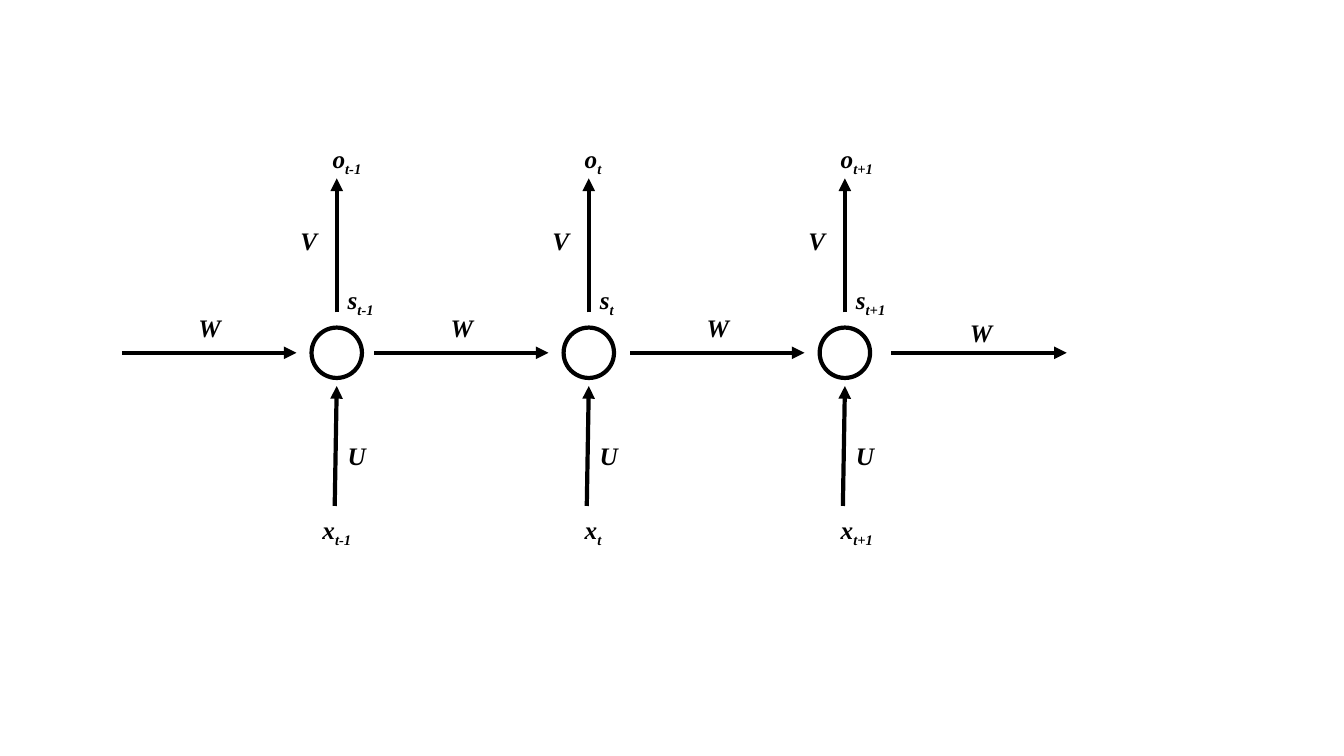
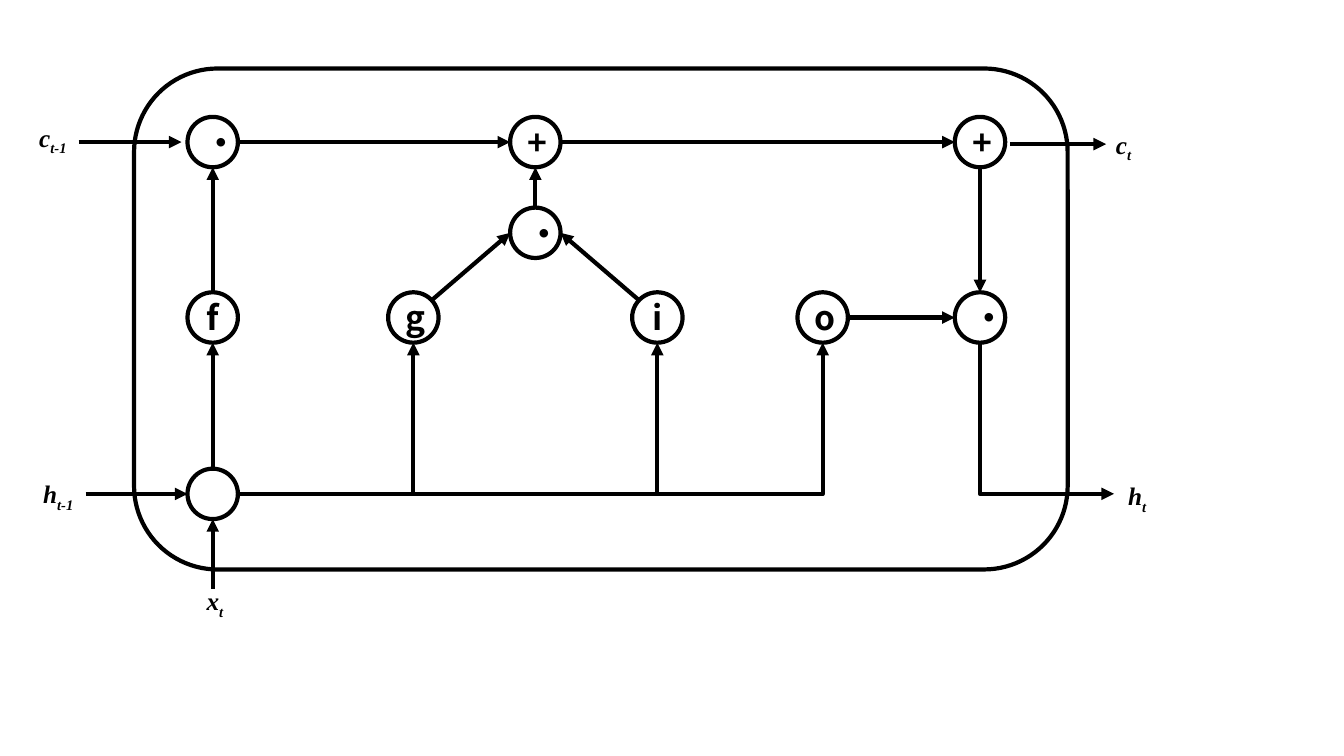
from pptx import Presentation
from pptx.dml.color import RGBColor
from pptx.enum.shapes import MSO_CONNECTOR as Route, MSO_SHAPE as Preset
from pptx.enum.text import MSO_ANCHOR as Anchor, MSO_AUTO_SIZE as AutoSize, PP_ALIGN as Align
from pptx.oxml.ns import qn
from pptx.util import Inches, Pt
from lxml.etree import SubElement

INK = RGBColor(0, 0, 0)
PAPER = RGBColor(255, 255, 255)
MATH_FONT = "Times New Roman"
GATE_FONT = "Noto Sans CJK SC"
STROKE = Pt(3)
RADIUS = 0.25


def add_arrow(slide, start, end, route=Route.STRAIGHT, tip="tailEnd"):
    """Draw a black arrow, with its tip at the end or at the start."""
    arrow = slide.shapes.add_connector(route, *map(Inches, (*start, *end)))
    arrow.line.color.rgb = INK
    arrow.line.width = STROKE
    SubElement(arrow.line._get_or_add_ln(), qn("a:" + tip), type="triangle")
    SubElement(arrow._element.spPr, qn("a:effectLst"))
    return arrow


def add_corner_arrow(slide, start, end, tip="tailEnd"):
    """Draw an arrow that leaves its start sideways and turns once."""
    arrow = add_arrow(slide, start, end, Route.ELBOW, tip)
    arrow._element.spPr.find(qn("a:prstGeom")).set("prst", "bentConnector2")


def add_label(slide, left, top, symbol, index="", width=0.79):
    """Write a bold italic symbol with an optional subscript."""
    label = slide.shapes.add_textbox(*map(Inches, (left, top, width, 0.4)))
    frame = label.text_frame
    frame.word_wrap = True
    frame.auto_size = AutoSize.SHAPE_TO_FIT_TEXT
    for text in filter(None, (symbol, index)):
        run = frame.paragraphs[0].add_run()
        run.text = text
        run.font.name = MATH_FONT
        run.font.size = Pt(18)
        run.font.bold = run.font.italic = True
        run.font.color.rgb = INK
    if index:
        run.font._element.set("baseline", "-25000")


def add_outline(slide, preset, left, top, width, height):
    """Add a shape with a black outline and no shadow."""
    outline = slide.shapes.add_shape(preset, *map(Inches, (left, top, width, height)))
    outline.shadow.inherit = False
    outline.line.color.rgb = INK
    outline.line.width = STROKE
    return outline


def add_node(slide, x, y, symbol=""):
    """Draw a white circle centred on a point, with an optional symbol."""
    node = add_outline(slide, Preset.OVAL, x - RADIUS, y - RADIUS, 2 * RADIUS, 2 * RADIUS)
    node.fill.solid()
    node.fill.fore_color.rgb = PAPER
    if symbol:
        frame = node.text_frame
        frame.text = symbol
        frame.vertical_anchor = Anchor.MIDDLE
        frame.paragraphs[0].alignment = Align.CENTER
        font = frame.paragraphs[0].runs[0].font
        font.name = GATE_FONT
        font.size = Pt(24)
        font.bold = True
        font.color.rgb = INK
        SubElement(font._element, qn("a:ea"), typeface=GATE_FONT)


def add_time_step(slide, x, index, input_left):
    """Draw one step of the unrolled network around a vertical axis."""
    add_arrow(slide, (x - 2.13, 3.5), (x - 0.4, 3.5))
    add_arrow(slide, (x, 3.1), (x, 1.77))
    add_arrow(slide, (x - 0.02, 5.02), (x, 3.83))
    add_node(slide, x, 3.5)
    add_label(slide, x + 0.01, 4.32, "U", width=0.3)
    add_label(slide, x - 0.46, 2.19, "V", width=0.41)
    add_label(slide, x - 1.47, 3.05, "W", width=0.41)
    add_label(slide, x + 0.01, 2.77, "s", index)
    add_label(slide, x - 0.14, 1.37, "o", index)
    add_label(slide, input_left, 5.05, "x", index)


def build_recurrent_network(slide):
    """Draw the recurrent network unrolled over three steps."""
    for x, index, input_left in ((3.34, "t-1", 3.1), (5.84, "t", 5.7), (8.38, "t+1", 8.24)):
        add_time_step(slide, x, index, input_left)
    add_arrow(slide, (8.84, 3.5), (10.58, 3.5))
    add_label(slide, 9.52, 3.1, "W", width=0.41)


def build_memory_cell(slide):
    """Draw the gated memory cell with its inputs and outputs."""
    forget, candidate, merge, admit, emit, output = 2.11, 4.1, 5.31, 6.52, 8.16, 9.72
    state, product, gates, hidden = 1.41, 2.31, 3.15, 4.9

    add_outline(slide, Preset.ROUNDED_RECTANGLE, 1.33, 0.68, 9.26, 4.97).fill.background()
    for x, y, symbol in (
        (forget, state, "·"), (merge, state, "+"), (output, state, "+"),
        (merge, product, "·"), (forget, gates, "f"), (candidate, gates, "g"),
        (admit, gates, "i"), (emit, gates, "o"), (output, gates, "·"),
        (forget, hidden, ""),
    ):
        add_node(slide, x, y, symbol)

    for x, start, end in ((forget, hidden, gates), (forget, gates, state), (merge, product, state)):
        add_arrow(slide, (x, start - RADIUS), (x, end + RADIUS))
    for y, start, end in ((state, forget, merge), (state, merge, output), (gates, emit, output)):
        add_arrow(slide, (start + RADIUS, y), (end - RADIUS, y))
    add_arrow(slide, (output, state + RADIUS), (output, gates - RADIUS))
    for side in (-1, 1):
        add_arrow(slide, (merge + side * 1.03, 2.98), (merge + side * RADIUS, product))
    for gate in (candidate, admit, emit):
        add_corner_arrow(slide, (forget + RADIUS, hidden), (gate, gates + RADIUS))

    add_arrow(slide, (0.78, state), (1.8, state))
    add_arrow(slide, (0.85, hidden), (forget - RADIUS, hidden))
    add_arrow(slide, (forget, 5.84), (forget, hidden + RADIUS))
    add_arrow(slide, (10.02, 1.43), (10.97, 1.43))
    add_corner_arrow(slide, (11.05, hidden), (output, gates + RADIUS), tip="headEnd")
    for left, top, symbol, index in (
        (0.29, 1.16, "c", "t-1"), (10.97, 1.23, "c", "t"),
        (0.33, 4.7, "h", "t-1"), (11.09, 4.72, "h", "t"), (1.95, 5.76, "x", "t"),
    ):
        add_label(slide, left, top, symbol, index, width=0.59)


def main():
    """Build both diagrams and save the presentation."""
    deck = Presentation()
    deck.slide_width = Inches(13.33)
    deck.slide_height = Inches(7.5)
    for build in (build_recurrent_network, build_memory_cell):
        build(deck.slides.add_slide(deck.slide_layouts[6]))
    deck.save("out.pptx")


if __name__ == "__main__":
    main()
